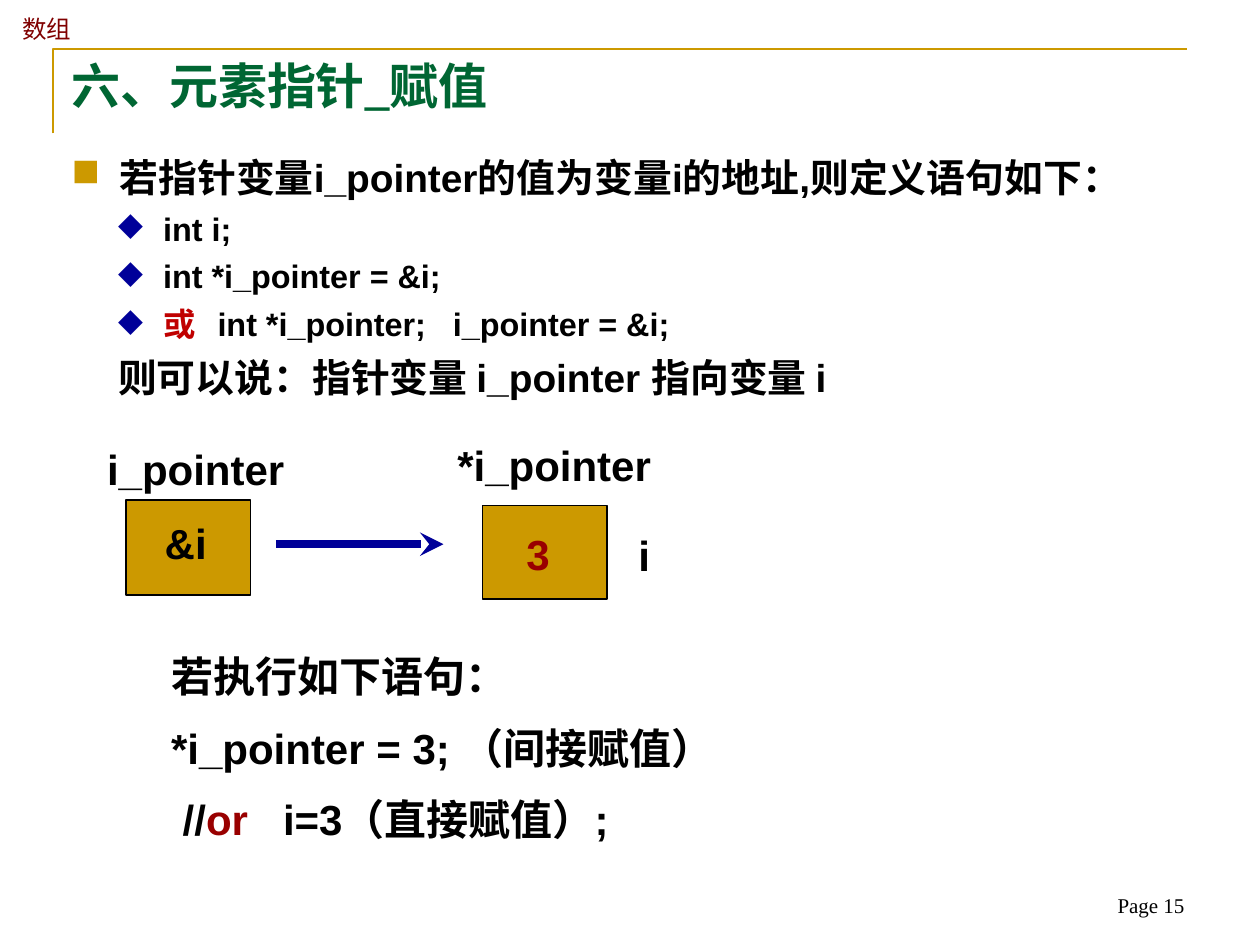
from pptx import Presentation
from pptx import util as u
from pptx.dml.color import RGBColor
from pptx.enum import shapes, text
from pptx.oxml.ns import qn
from lxml import etree

COLORS = {"gold": "CC9900", "navy": "000099", "black": "000000", "red": "990000",
          "bright": "C00000", "maroon": "800000", "green": "006633"}
CJK = "Noto Sans CJK SC"


def color(name):
    """Return the named colour."""
    return RGBColor.from_string(COLORS[name])


def write(box, lines, size, ink="black", font="Arial", bold=True, wrap=True,
          align=text.PP_ALIGN.LEFT, anchor=text.MSO_ANCHOR.TOP):
    """Fill a box with lines; each line is a list of (wording, colour) spans."""
    frame = box.text_frame
    frame.word_wrap = wrap
    frame.vertical_anchor = anchor
    for index, line in enumerate(lines):
        para = frame.paragraphs[0] if index == 0 else frame.add_paragraph()
        para.alignment = align
        para.font.size, para.font.bold, para.font.name = u.Pt(size), bold, font
        for wording, tint in [(line, ink)] if isinstance(line, str) else line:
            span = para.add_run()
            span.text = wording
            span.font.size, span.font.bold, span.font.name = u.Pt(size), bold, font
            span.font.color.rgb = color(tint)
            etree.SubElement(span.font._element, qn("a:ea"), typeface=CJK)
    return frame.paragraphs


deck = Presentation()
deck.slide_width, deck.slide_height = u.Cm(25.4), u.Cm(19.05)
page = deck.slides.add_slide(deck.slide_layouts[6])
items = page.shapes

# Title frame
outline = items.build_freeform(u.Cm(1.07), u.Cm(2.69))
outline.add_line_segments([(u.Cm(1.07), u.Cm(0.99)), (u.Cm(23.93), u.Cm(0.99))], close=False)
corner = outline.convert_to_shape()
corner.shadow.inherit = False
corner.fill.background()
corner.line.color.rgb = color("gold")
corner.line.width = u.Pt(1.5)

# Header, page number and title
header = items.add_textbox(u.Cm(0.2), u.Cm(0.15), u.Cm(2), u.Cm(1.12))
write(header, ["数组"], 14, "maroon", CJK, bold=False, wrap=False)
footer = items.add_textbox(u.Cm(18.21), u.Cm(17.35), u.Cm(5.92), u.Cm(1.27))
write(footer, ["Page 15"], 12, font="Times New Roman", bold=False,
      align=text.PP_ALIGN.RIGHT, anchor=text.MSO_ANCHOR.BOTTOM)
title = items.add_textbox(u.Cm(1.19), u.Cm(0.99), u.Cm(21.59), u.Cm(3.18))
write(title, ["六、元素指针_赋值"], 28, "green", "Times New Roman")

# Body list: size, space before, left margin, hanging indent, bullet, bullet colour
body = items.add_textbox(u.Cm(1.19), u.Cm(2.97), u.Cm(24.21), u.Cm(5.77))
body_lines = ["若指针变量i_pointer的值为变量i的地址,则定义语句如下：",
              "int i;",
              "int *i_pointer = &i;",
              [("或   ", "bright"), ("int *i_pointer;   i_pointer = &i;", "black")],
              "则可以说：指针变量 i_pointer 指向变量 i"]
main = (22.2, 6, 0.97, 0.97, "■", "gold")
sub = (18.5, 5, 1.85, 0.91, "◆", "navy")
closing = (22.2, 6, 1.85, 0.91, None, None)
for para, style in zip(write(body, body_lines, 18.5), [main, sub, sub, sub, closing]):
    size, before, margin, hanging, bullet, tint = style
    para.space_before = u.Pt(before)
    para.font.size = u.Pt(size)
    for span in para.runs:
        span.font.size = u.Pt(size)
    props = para._p.get_or_add_pPr()
    props.set("marL", str(u.Cm(margin)))
    props.set("indent", str(-u.Cm(hanging)))
    if bullet:
        marks = [etree.Element(qn("a:buClr")), etree.Element(qn("a:buChar"), char=bullet)]
        etree.SubElement(marks[0], qn("a:srgbClr"), val=COLORS[tint])
        place = list(props).index(props.find(qn("a:defRPr")))
        props[place:place] = marks

# Memory cells
for left, top, height in [(2.54, 10.08, 1.91), (9.73, 10.19, 1.88)]:
    cell = items.add_shape(shapes.MSO_SHAPE.RECTANGLE, u.Cm(left), u.Cm(top),
                           u.Cm(2.51), u.Cm(height))
    cell.shadow.inherit = False
    cell.fill.solid()
    cell.fill.fore_color.rgb = color("gold")
    cell.line.color.rgb = color("black")
    cell.line.width = u.Pt(1)

# Cell names and values
center, middle = text.PP_ALIGN.CENTER, text.MSO_ANCHOR.MIDDLE
left_top = text.PP_ALIGN.LEFT, text.MSO_ANCHOR.TOP
labels = [("i_pointer", 1.91, 8.81, 4.65, 1.27, "black", *left_top),
          ("*i_pointer", 8.97, 8.74, 4.42, 1.27, "black", *left_top),
          ("i", 12.62, 10.54, 0.74, 1.27, "black", *left_top),
          ("&i", 2.69, 10.52, 2.11, 0.84, "black", center, middle),
          ("3", 10.36, 10.52, 0.97, 1.27, "red", center, middle)]
for wording, left, top, width, height, ink, align, anchor in labels:
    label = items.add_textbox(u.Cm(left), u.Cm(top), u.Cm(width), u.Cm(height))
    write(label, [wording], 24, ink, wrap=False, align=align, anchor=anchor)

# Pointer arrow
arrow = items.add_connector(shapes.MSO_CONNECTOR.STRAIGHT, u.Cm(5.56), u.Cm(10.97),
                            u.Cm(8.94), u.Cm(10.97))
arrow.line.color.rgb = color("navy")
arrow.line.width = u.Pt(4.5)
etree.SubElement(arrow.line._get_or_add_ln(), qn("a:tailEnd"), type="stealth")
etree.SubElement(arrow._element.spPr, qn("a:effectLst"))

# Assignment statements
statements = items.add_textbox(u.Cm(1.6), u.Cm(13.11), u.Cm(22.5), u.Cm(4.06))
statement_lines = ["若执行如下语句：",
                   "*i_pointer = 3; （间接赋值）",
                   [(" //", "black"), ("or", "red"), ("   i=3（直接赋值）;", "black")]]
for para in write(statements, statement_lines, 24):
    para.line_spacing = 0.9
    para.space_before = u.Pt(15)
    para._p.get_or_add_pPr().set("marL", str(u.Cm(1.6)))

deck.save("out.pptx")
